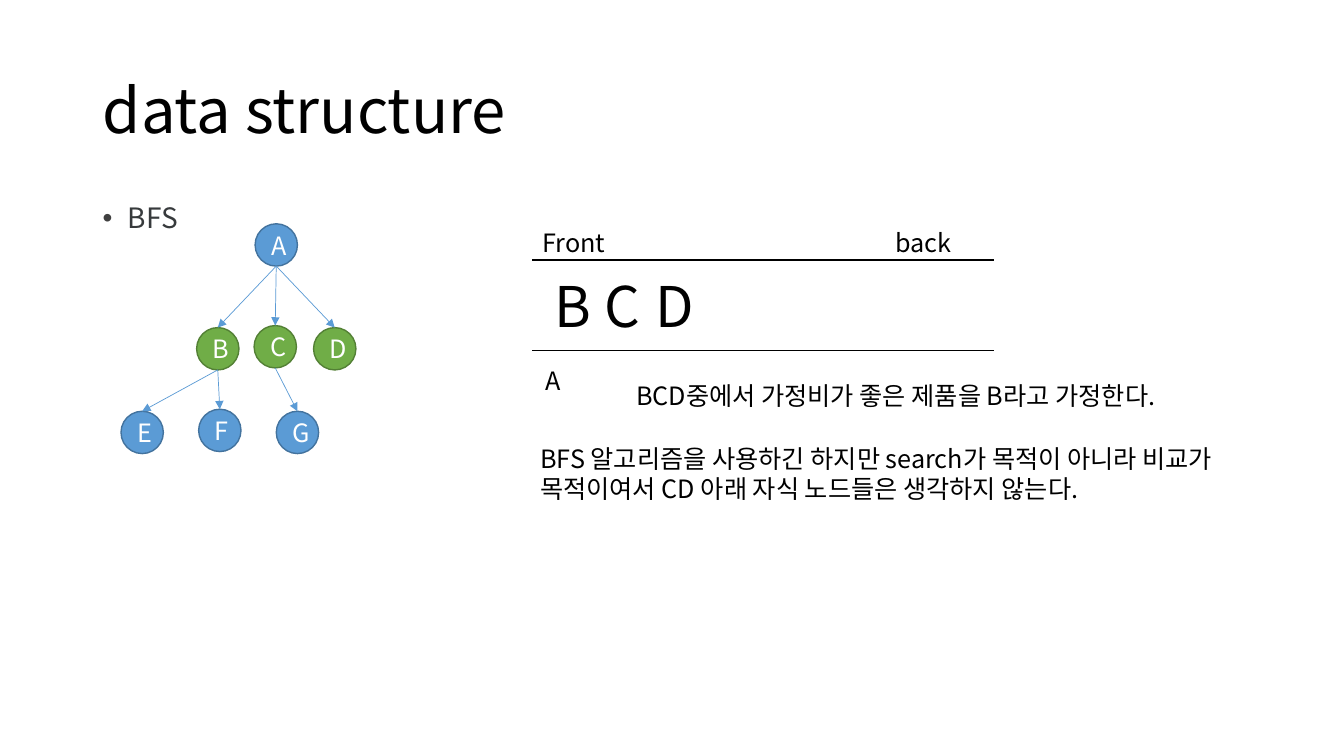
import pptx
import pptx.dml.color
import pptx.enum.shapes
import pptx.enum.text
import pptx.oxml
import pptx.oxml.ns
import pptx.util
from pptx.util import Inches, Pt

FONT = "Noto Sans CJK KR"
TITLE = "data structure"
TOPIC = "BFS"
DIAMETER = 0.42
BLUE, GREEN = ("5B9BD5", "43739E"), ("70AD47", "538035")

# Tree nodes: left, top, (fill, outline)
NODES = {
    "A": (2.53, 2.22, BLUE),
    "B": (1.95, 3.25, GREEN),
    "C": (2.52, 3.23, GREEN),
    "D": (3.11, 3.25, GREEN),
    "E": (1.2, 4.08, BLUE),
    "F": (1.97, 4.06, BLUE),
    "G": (2.74, 4.08, BLUE),
}
EDGES = ["AB", "AC", "AD", "BE", "BF", "CG"]

QUEUE = (5.28, 2.58, 4.58, 0.9)

# Text: left, top, width, height, size, wrap, lines
TEXTS = [
    (5.28, 2.21, 4.79, 0.41, 18, True, ["Front\t\t\t\t\t\tback"]),
    (5.4, 2.64, 1.71, 0.78, 40, False, ["B\tC\tD"]),
    (5.31, 3.57, 0.36, 0.41, 18, False, ["A"]),
    (6.21, 3.72, 5.82, 0.4, 18, False,
     ["BCD중에서 가정비가 좋은 제품을 B라고 가정한다."]),
    (5.26, 4.35, 7.44, 0.71, 18, False,
     ["BFS 알고리즘을 사용하긴 하지만 search가 목적이 아니라 비교가",
      "목적이여서 CD 아래 자식 노드들은 생각하지 않는다."]),
]


def color(value):
    return pptx.dml.color.RGBColor.from_string(value)


def add_xml(parent, tag, inner="", **attributes):
    """Append a DrawingML element to parent."""
    listed = "".join(f' {name}="{value}"' for name, value in attributes.items())
    parent.append(pptx.oxml.parse_xml(
        f'<a:{tag} {pptx.oxml.ns.nsdecls("a")}{listed}>{inner}</a:{tag}>'))


def write(frame, lines, size, text_color="000000"):
    frame.text = "\n".join(lines)
    for paragraph in frame.paragraphs:
        paragraph.font.size = Pt(size)
        paragraph.font.name = FONT
        paragraph.font.color.rgb = color(text_color)
        for run in paragraph.runs:
            add_xml(run._r.get_or_add_rPr(), "ea", typeface=FONT)


def add_text(slide, left, top, width, height, size, wrap, lines, text_color="000000"):
    box = slide.shapes.add_textbox(*map(Inches, (left, top, width, height)))
    box.text_frame.word_wrap = wrap
    write(box.text_frame, lines, size, text_color)
    return box.text_frame.paragraphs[0]


def add_node(slide, name, left, top, colors):
    node = slide.shapes.add_shape(
        pptx.enum.shapes.MSO_SHAPE.OVAL, *map(Inches, (left, top, DIAMETER, DIAMETER)))
    node.shadow.inherit = False
    node.fill.solid()
    node.fill.fore_color.rgb = color(colors[0])
    node.line.color.rgb = color(colors[1])
    node.line.width = Pt(1)
    write(node.text_frame, [name], 18, "FFFFFF")
    node.text_frame.vertical_anchor = pptx.enum.text.MSO_ANCHOR.MIDDLE
    node.text_frame.paragraphs[0].alignment = pptx.enum.text.PP_ALIGN.CENTER


def add_edge(slide, parent, child):
    """Draw an arrow from the bottom of parent to the top of child."""
    start, end = NODES[parent], NODES[child]
    radius = DIAMETER / 2
    edge = slide.shapes.add_connector(
        pptx.enum.shapes.MSO_CONNECTOR.STRAIGHT,
        *map(Inches, (start[0] + radius, start[1] + DIAMETER, end[0] + radius, end[1])))
    edge.line.color.rgb = color(BLUE[0])
    edge.line.width = Pt(0.5)
    add_xml(edge.line._get_or_add_ln(), "tailEnd", type="triangle")
    add_xml(edge._element.spPr, "effectLst")


def add_queue(slide):
    """Draw the queue as one cell, open at both sides."""
    table = slide.shapes.add_table(1, 1, *map(Inches, QUEUE)).table
    table.first_row = table.horz_banding = False
    cell = table.cell(0, 0)
    properties = cell._tc.get_or_add_tcPr()
    black = '<a:solidFill><a:srgbClr val="000000"/></a:solidFill>'
    for side, fill in (("L", "<a:noFill/>"), ("R", "<a:noFill/>"), ("T", black), ("B", black)):
        add_xml(properties, f"ln{side}", fill, w=Pt(1))
    cell.fill.background()


def main():
    presentation = pptx.Presentation()
    presentation.slide_width, presentation.slide_height = Inches(13.33), Inches(7.5)
    slide = presentation.slides.add_slide(presentation.slide_layouts[5])

    # Title and topic
    title = slide.shapes.title
    title.left, title.top, title.width, title.height = map(Inches, (0.92, 0.4, 11.5, 1.45))
    write(title.text_frame, [TITLE], 44)
    title.text_frame.vertical_anchor = pptx.enum.text.MSO_ANCHOR.MIDDLE
    heading = title.text_frame.paragraphs[0]
    heading.alignment = pptx.enum.text.PP_ALIGN.LEFT
    heading.line_spacing = 0.9

    topic = add_text(slide, 0.92, 1.98, 4.1, 4.76, 20, True, [TOPIC], "373A3C")
    topic.line_spacing = 0.9
    topic.space_before = Pt(10)
    properties = topic._p.get_or_add_pPr()
    properties.set("marL", str(Inches(0.25)))
    properties.set("indent", str(-Inches(0.25)))
    bullet = [("buClr", '<a:srgbClr val="404040"/>', {}),
              ("buFont", "", {"typeface": "Arial"}), ("buChar", "", {"char": "•"})]
    for position, (tag, inner, attributes) in enumerate(bullet):
        add_xml(properties, tag, inner, **attributes)
    default_font = properties.find(pptx.oxml.ns.qn("a:defRPr"))
    if default_font is not None:
        properties.append(default_font)

    # Tree
    for name, node in NODES.items():
        add_node(slide, name, *node)
    for parent, child in EDGES:
        add_edge(slide, parent, child)

    # Queue and explanation
    add_queue(slide)
    for text in TEXTS:
        add_text(slide, *text)

    presentation.save("out.pptx")


if __name__ == "__main__":
    main()
